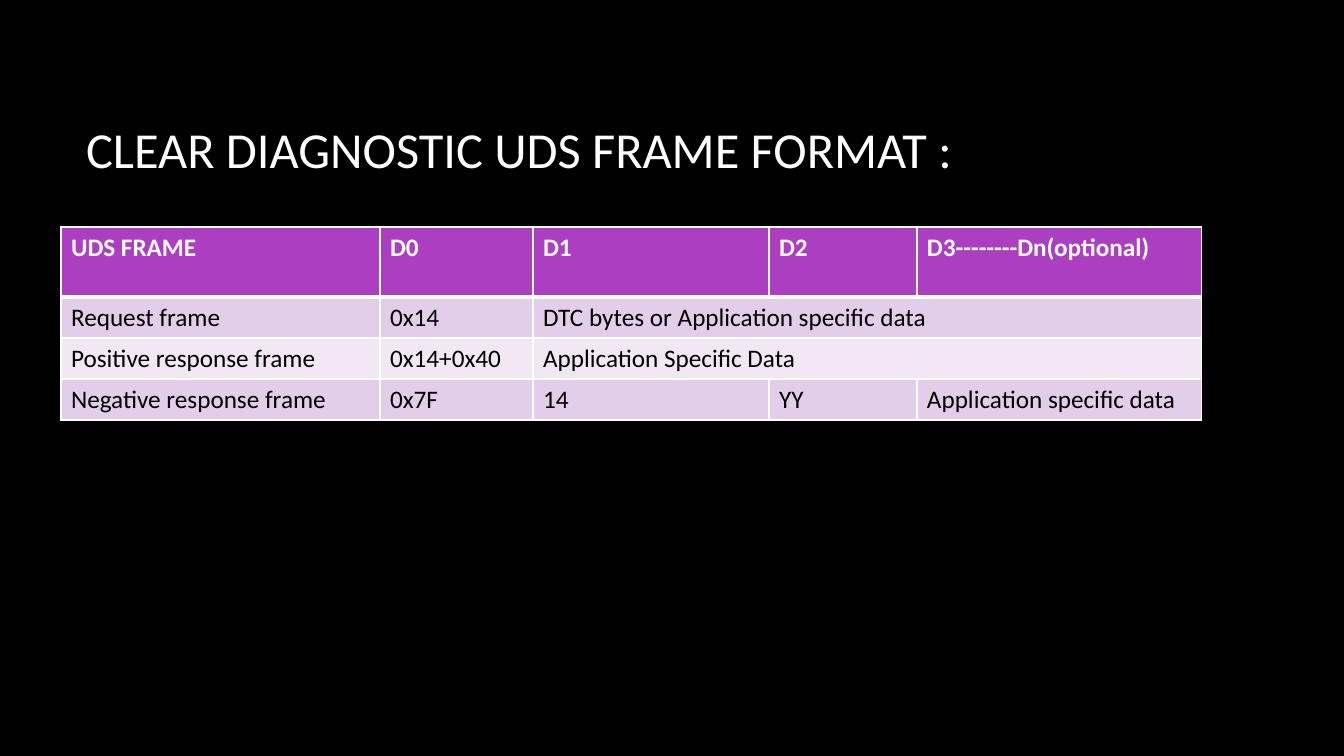
from lxml import etree
from pptx import Presentation
from pptx.dml.color import RGBColor
from pptx.enum.text import MSO_ANCHOR, PP_ALIGN
from pptx.oxml.ns import qn
from pptx.util import Pt

MIDDLE = MSO_ANCHOR.MIDDLE
LEFT = PP_ALIGN.LEFT
TITLE_ONLY = 5
EMU_PER_PIXEL = 914400 / 100.8

BLACK, WHITE = "000000", "FFFFFF"
HEADER_FILL = "AC3EC1"
BAND_FILLS = ["E3CEE9", "F1E8F4"]
COLUMN_WIDTHS = [319, 153, 236, 148, 285]
ROW_HEIGHTS = [70, 41, 41, 41]
FRAMES = [
    ["UDS FRAME", "D0", "D1", "D2", "D3--------Dn(optional)"],
    ["Request frame", "0x14", "DTC bytes or Application specific data"],
    ["Positive response frame", "0x14+0x40", "Application Specific Data"],
    ["Negative response frame", "0x7F", "14", "YY", "Application specific data"],
]


def px(pixels):
    """Turn pixels into EMU."""
    return round(pixels * EMU_PER_PIXEL)


def color(hex_text):
    """Turn a hex string into a colour."""
    return RGBColor.from_string(hex_text)


def write(frame, text, hex_text, **formats):
    """Write one left-aligned run with the given font formats."""
    para = frame.paragraphs[0]
    para.alignment = LEFT
    span = para.add_run()
    span.text = text
    span.font.color.rgb = color(hex_text)
    for name, value in {"name": "Calibri", **formats}.items():
        setattr(span.font, name, value)


def add_border(cell, side, points):
    """Draw a white border on one side of a cell."""
    properties = cell._tc.get_or_add_tcPr()
    line = etree.SubElement(properties, qn(f"a:ln{side}"), w=str(Pt(points)))
    fill = etree.SubElement(line, qn("a:solidFill"))
    etree.SubElement(fill, qn("a:srgbClr"), val=WHITE)


def style_cell(cell, row):
    """Give a cell its borders and its header or band fill."""
    widths = {"L": 1, "R": 1, "T": 3 if row == 1 else 1, "B": 3 if row == 0 else 1}
    for side, points in widths.items():
        add_border(cell, side, points)
    cell.fill.solid()
    fill = BAND_FILLS[(row - 1) % 2] if row else HEADER_FILL
    cell.fill.fore_color.rgb = color(fill)


def add_title(page, text):
    """Place and fill the title placeholder."""
    title = page.shapes.title
    box = {"left": 76, "top": 68, "width": 1117, "height": 160}
    for name, value in box.items():
        setattr(title, name, px(value))
    title.text_frame.vertical_anchor = MIDDLE
    write(title.text_frame, text, WHITE, size=Pt(36))


def add_frame_table(page):
    """Add the frame table; a short row's last cell spans to the edge."""
    table = page.shapes.add_table(
        len(ROW_HEIGHTS), len(COLUMN_WIDTHS), px(61), px(227),
        px(sum(COLUMN_WIDTHS)), px(sum(ROW_HEIGHTS))).table
    for column, width in zip(table.columns, COLUMN_WIDTHS):
        column.width = px(width)
    for row, (height, texts) in enumerate(zip(ROW_HEIGHTS, FRAMES)):
        table.rows[row].height = px(height)
        for cell in table.rows[row].cells:
            style_cell(cell, row)
        for column, text in enumerate(texts):
            write(table.cell(row, column).text_frame, text,
                  BLACK if row else WHITE, size=Pt(18), bold=row == 0)
        if len(texts) < len(COLUMN_WIDTHS):
            last = table.cell(row, len(COLUMN_WIDTHS) - 1)
            table.cell(row, len(texts) - 1).merge(last)


def main():
    """Build and save the slide."""
    deck = Presentation()
    deck.slide_width, deck.slide_height = px(1344), px(756)
    page = deck.slides.add_slide(deck.slide_layouts[TITLE_ONLY])
    page.background.fill.solid()
    page.background.fill.fore_color.rgb = color(BLACK)
    add_title(page, "CLEAR DIAGNOSTIC UDS FRAME FORMAT :")
    add_frame_table(page)
    deck.save("out.pptx")


main()
